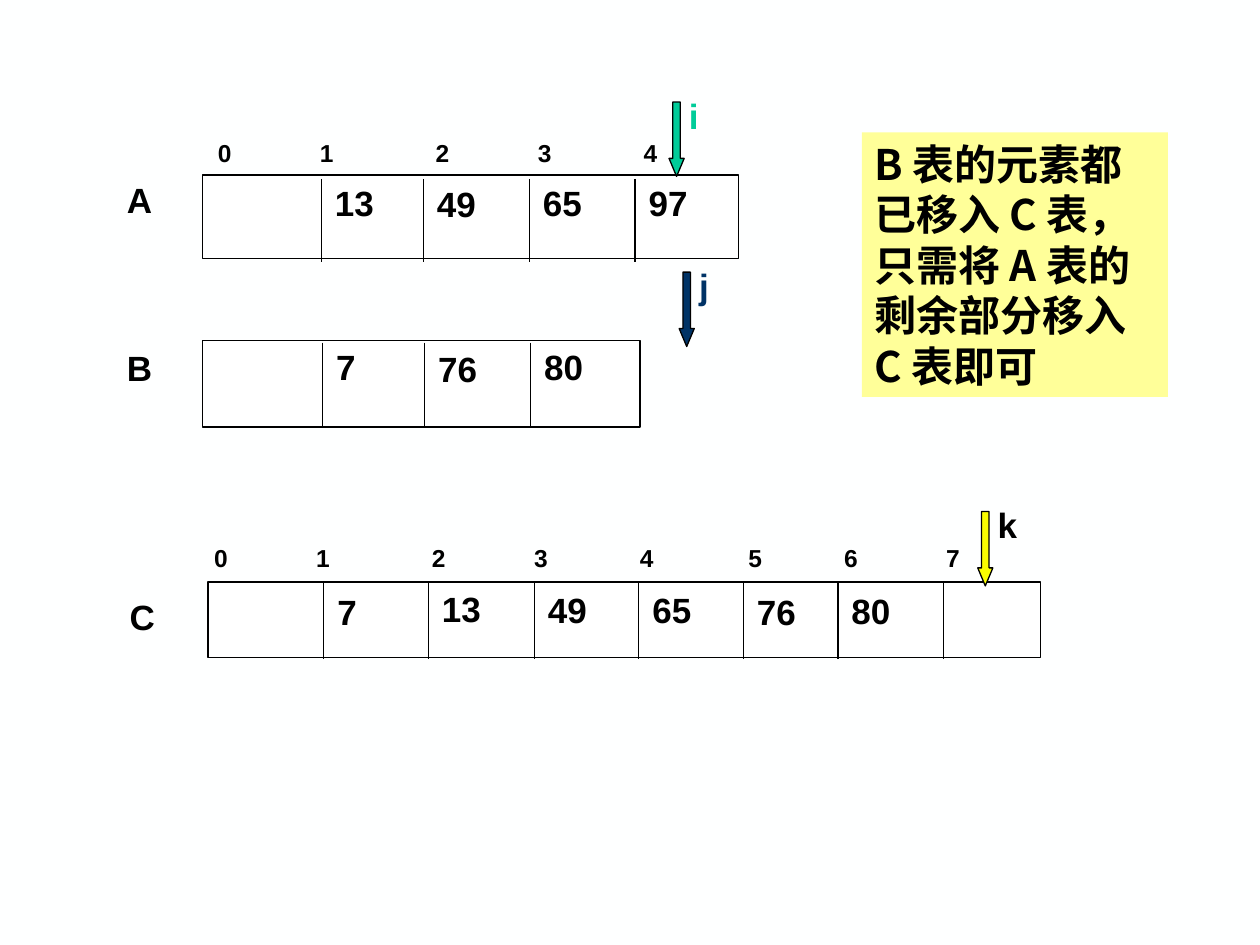
"""Build the merge step slide: lists A and B merged into C."""
from lxml.etree import SubElement
from pptx import Presentation
from pptx.dml.color import RGBColor
from pptx.enum.shapes import MSO_CONNECTOR as Connector, MSO_SHAPE as Shape
from pptx.enum.text import MSO_ANCHOR as Anchor, PP_ALIGN as Align
from pptx.oxml.ns import qn
from pptx.util import Inches, Pt

BACKGROUND = RGBColor(0xFE, 0xFF, 0xFF)
BLACK = RGBColor(0, 0, 0)
WHITE = RGBColor(0xFF, 0xFF, 0xFF)
GREEN = RGBColor(0x00, 0xCC, 0x99)
NAVY = RGBColor(0x00, 0x33, 0x66)
YELLOW = RGBColor(0xFA, 0xFD, 0x00)
PALE_YELLOW = RGBColor(0xFF, 0xFF, 0x99)
LATIN_FONT, CHINESE_FONT = "Arial", "Noto Sans CJK SC"

LISTS = [
    {"name": "A", "name_at": (0.91, 1.37), "frame": (1.61, 1.39, 4.25, 0.66),
     "divider": (0.03, 0.69), "indices": 5, "indices_at": (1.63, 1.05),
     "cells": [(2.55, "13", 0), (3.36, "49", 0.01), (4.2, "65", 0), (5.04, "97", 0)]},
    {"name": "B", "name_at": (0.91, 2.7), "frame": (1.61, 2.7, 3.47, 0.69),
     "divider": (0.02, 0.68), "indices": 0, "indices_at": None,
     "cells": [(2.56, "7", -0.01), (3.37, "76", 0.01), (4.21, "80", -0.01)]},
    {"name": "C", "name_at": (0.93, 4.68), "frame": (1.65, 4.62, 6.61, 0.6),
     "divider": (0, 0.61), "indices": 8, "indices_at": (1.6, 4.26),
     "cells": [(2.57, "7", 0.02), (3.4, "13", -0.01), (4.24, "49", 0), (5.07, "65", 0),
               (5.9, "76", 0.02), (6.65, "80", 0.01), (7.49, "", 0)]},
]
INDEX_TABS = [0.81, 1.73, 2.54, 3.38, 4.24, 5.0, 5.81]
POINTERS = [("i", 5.31, 0.81, GREEN, GREEN), ("j", 5.39, 2.16, NAVY, NAVY),
            ("k", 7.76, 4.06, YELLOW, BLACK)]
CONCLUSION = "B 表的元素都已移入 C 表，只需将 A 表的剩余部分移入 C 表即可"


def style(paragraph, size, color=BLACK, name=LATIN_FONT):
    font = paragraph.font
    font.name, font.size, font.bold = name, Pt(size), True
    font.color.rgb = color


def add_label(shapes, text, left, top, width=0.67, height=0.44, size=20, color=BLACK, tabs=()):
    label = shapes.add_textbox(*map(Inches, (left, top, width, height)))
    label.text_frame.word_wrap = True
    paragraph = label.text_frame.paragraphs[0]
    paragraph.text = text
    if tabs:
        stops = SubElement(paragraph._p.get_or_add_pPr(), qn("a:tabLst"))
        for position in tabs:
            SubElement(stops, qn("a:tab"), pos=str(Inches(position)), algn="l")
    style(paragraph, size, color)


def add_block(shapes, kind, box, fill, outlined=True):
    block = shapes.add_shape(kind, *map(Inches, box))
    block.shadow.inherit = False
    block.fill.solid()
    block.fill.fore_color.rgb = fill
    if outlined:
        block.line.color.rgb = BLACK
        block.line.width = Pt(0.75)
    else:
        block.line.fill.background()
    return block


def add_divider(shapes, x, top, bottom):
    divider = shapes.add_connector(Connector.STRAIGHT, *map(Inches, (x, top, x, bottom)))
    divider.line.color.rgb = BLACK
    divider.line.width = Pt(0.75)
    SubElement(divider._element.spPr, qn("a:effectLst"))


def add_list(shapes, row):
    left, top, width, height = row["frame"]
    add_block(shapes, Shape.RECTANGLE, row["frame"], WHITE)
    add_label(shapes, row["name"], *row["name_at"])
    if row["indices"]:
        indices = "\t".join(map(str, range(row["indices"])))
        add_label(shapes, indices, *row["indices_at"], width, 0.34, 14,
                  tabs=INDEX_TABS[:row["indices"] - 1])
    start, end = row["divider"]
    for x, value, drop in row["cells"]:
        add_divider(shapes, x, top + start, top + end)
        if value:
            add_label(shapes, value, x + 0.01, top + drop)


def add_pointer(shapes, name, left, top, fill, color):
    group = shapes.add_group_shape()
    arrow = add_block(group.shapes, Shape.DOWN_ARROW, (left, top, 0.12, 0.59), fill)
    arrow.adjustments[0], arrow.adjustments[1] = 0.5, 1.19
    add_label(group.shapes, name, left + 0.06, top - 0.11, 0.53, color=color)


def add_conclusion(shapes):
    note = add_block(shapes, Shape.RECTANGLE, (6.84, 1.05, 2.43, 2.1), PALE_YELLOW, False)
    frame = note.text_frame
    frame.word_wrap = True
    frame.vertical_anchor = Anchor.TOP
    paragraph = frame.paragraphs[0]
    paragraph.text = CONCLUSION
    paragraph.alignment = Align.LEFT
    paragraph.line_spacing = Pt(28.8)
    style(paragraph, 24, name=CHINESE_FONT)
    run_properties = paragraph.runs[0]._r.get_or_add_rPr()
    SubElement(run_properties, qn("a:latin"), typeface=CHINESE_FONT)
    SubElement(run_properties, qn("a:ea"), typeface=CHINESE_FONT)


def main():
    deck = Presentation()
    deck.slide_width, deck.slide_height = Inches(10), Inches(7.5)
    slide = deck.slides.add_slide(deck.slide_layouts[6])
    slide.background.fill.solid()
    slide.background.fill.fore_color.rgb = BACKGROUND
    for row in LISTS:
        add_list(slide.shapes, row)
    for pointer in POINTERS:
        add_pointer(slide.shapes, *pointer)
    add_conclusion(slide.shapes)
    deck.save("out.pptx")


if __name__ == "__main__":
    main()
